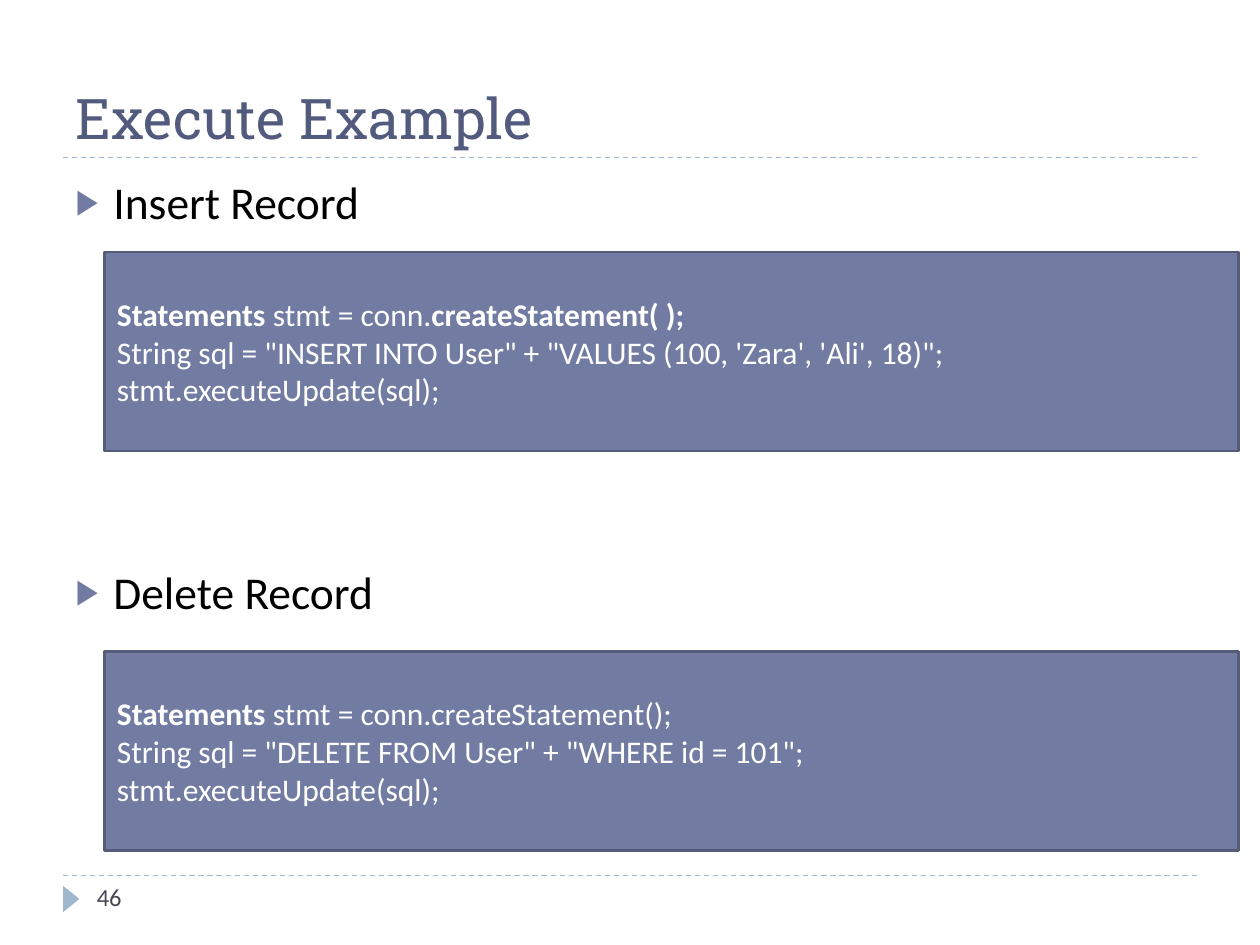
from pptx import Presentation
from pptx.dml.color import RGBColor
from pptx.enum.dml import MSO_LINE_DASH_STYLE as Dash
from pptx.enum.shapes import MSO_CONNECTOR as Connector, MSO_SHAPE as Shape
from pptx.enum.text import MSO_ANCHOR as Anchor, MSO_AUTO_SIZE as AutoSize, PP_ALIGN as Align
from pptx.oxml.ns import qn
from pptx.util import Pt
from lxml import etree

PX = 9144  # EMU per px, 100 px to the inch

BLACK = RGBColor(0x00, 0x00, 0x00)
WHITE = RGBColor(0xFF, 0xFF, 0xFF)
TITLE = RGBColor(0x52, 0x5B, 0x7E)
ACCENT = RGBColor(0x72, 0x7C, 0xA3)
BORDER = RGBColor(0x54, 0x5C, 0x79)
RULE = RGBColor(0x9F, 0xB8, 0xCD)
NUMBER = RGBColor(0x46, 0x46, 0x53)


class SlideBuilder:
    heading_font = "Roboto Slab"
    text_font = "Calibri"

    def __init__(self, slide):
        self.slide = slide

    def place(self, shape, box):
        shape.left, shape.top, shape.width, shape.height = [value * PX for value in box]

    def run(self, paragraph, text, size, color, bold=False, font=None):
        run = paragraph.add_run()
        run.text = text
        run.font.name = font or self.text_font
        run.font.size = Pt(size)
        run.font.bold = bold
        run.font.color.rgb = color

    def rule(self, left, right, y):
        line = self.slide.shapes.add_connector(
            Connector.STRAIGHT, left * PX, y * PX, right * PX, y * PX)
        line.line.color.rgb = RULE
        line.line.width = Pt(0.75)
        line.line.dash_style = Dash.DASH
        etree.SubElement(line._element.spPr, qn("a:effectLst"))

    def marker(self, box):
        shape = self.slide.shapes.add_shape(
            Shape.ISOSCELES_TRIANGLE, *[value * PX for value in box])
        shape.rotation = 90
        shape.shadow.inherit = False
        shape.fill.solid()
        shape.fill.fore_color.rgb = RULE
        shape.line.fill.background()

    def title(self, text, box):
        shape = self.slide.shapes.title
        self.place(shape, box)
        frame = shape.text_frame
        frame.auto_size = AutoSize.NONE
        frame.vertical_anchor = Anchor.BOTTOM
        paragraph = frame.paragraphs[0]
        paragraph.alignment = Align.LEFT
        self.run(paragraph, text, 32, TITLE, font=self.heading_font)

    def bullet(self, paragraph, indent):
        properties = paragraph._p.get_or_add_pPr()
        properties.set("marL", str(indent * PX))
        properties.set("indent", str(-indent * PX))
        color = etree.SubElement(properties, qn("a:buClr"))
        etree.SubElement(color, qn("a:srgbClr"), val=str(ACCENT))
        etree.SubElement(properties, qn("a:buSzPct"), val="76000")
        etree.SubElement(properties, qn("a:buChar"), char="▶")

    def bullets(self, items, box):
        shape = self.slide.placeholders[1]
        self.place(shape, box)
        frame = shape.text_frame
        frame.auto_size = AutoSize.NONE
        for index, (text, space_before) in enumerate(items):
            paragraph = frame.paragraphs[0] if index == 0 else frame.add_paragraph()
            paragraph.space_before = Pt(space_before)
            self.bullet(paragraph, 30)
            self.run(paragraph, text, 26, BLACK)

    def code(self, lines, box):
        shape = self.slide.shapes.add_shape(Shape.RECTANGLE, *[value * PX for value in box])
        shape.shadow.inherit = False
        shape.fill.solid()
        shape.fill.fore_color.rgb = ACCENT
        shape.line.color.rgb = BORDER
        shape.line.width = Pt(1.5)
        frame = shape.text_frame
        frame.word_wrap = True
        frame.vertical_anchor = Anchor.MIDDLE
        for index, line in enumerate(lines):
            paragraph = frame.paragraphs[0] if index == 0 else frame.add_paragraph()
            paragraph.alignment = Align.LEFT
            for text, bold in line:
                self.run(paragraph, text, 18, WHITE, bold)

    def label(self, text, box):
        shape = self.slide.shapes.add_textbox(*[value * PX for value in box])
        shape.text_frame.word_wrap = True
        self.run(shape.text_frame.paragraphs[0], text, 14, NUMBER)


def main():
    presentation = Presentation()
    presentation.slide_width = 1000 * PX
    presentation.slide_height = 750 * PX
    builder = SlideBuilder(presentation.slides.add_slide(presentation.slide_layouts[1]))

    # Frame: dashed rules and footer marker
    for y in (695, 125):
        builder.rule(50, 950, y)
    builder.marker((46, 707, 21, 13))

    # Title and section bullets
    builder.title("Execute Example", (50, 17, 900, 108))
    builder.bullets([("Insert Record", 6), ("Delete Record", 192)], (50, 133, 900, 540))

    # Code panels
    update = [("stmt.executeUpdate(sql);", False)]
    insert_code = [
        [("Statements ", True), ("stmt = conn.", False), ("createStatement( );", True)],
        [("String sql = \"INSERT INTO User\" + \"VALUES (100, 'Zara', 'Ali', 18)\";", False)],
        update,
    ]
    delete_code = [
        [("Statements ", True), ("stmt = conn.createStatement();", False)],
        [('String sql = "DELETE FROM User" + "WHERE id = 101";', False)],
        update,
    ]
    for lines, top in ((insert_code, 200), (delete_code, 517)):
        builder.code(lines, (83, top, 900, 158))

    # Slide number
    builder.label("46", (67, 695, 217, 40))

    presentation.save("out.pptx")


if __name__ == "__main__":
    main()
